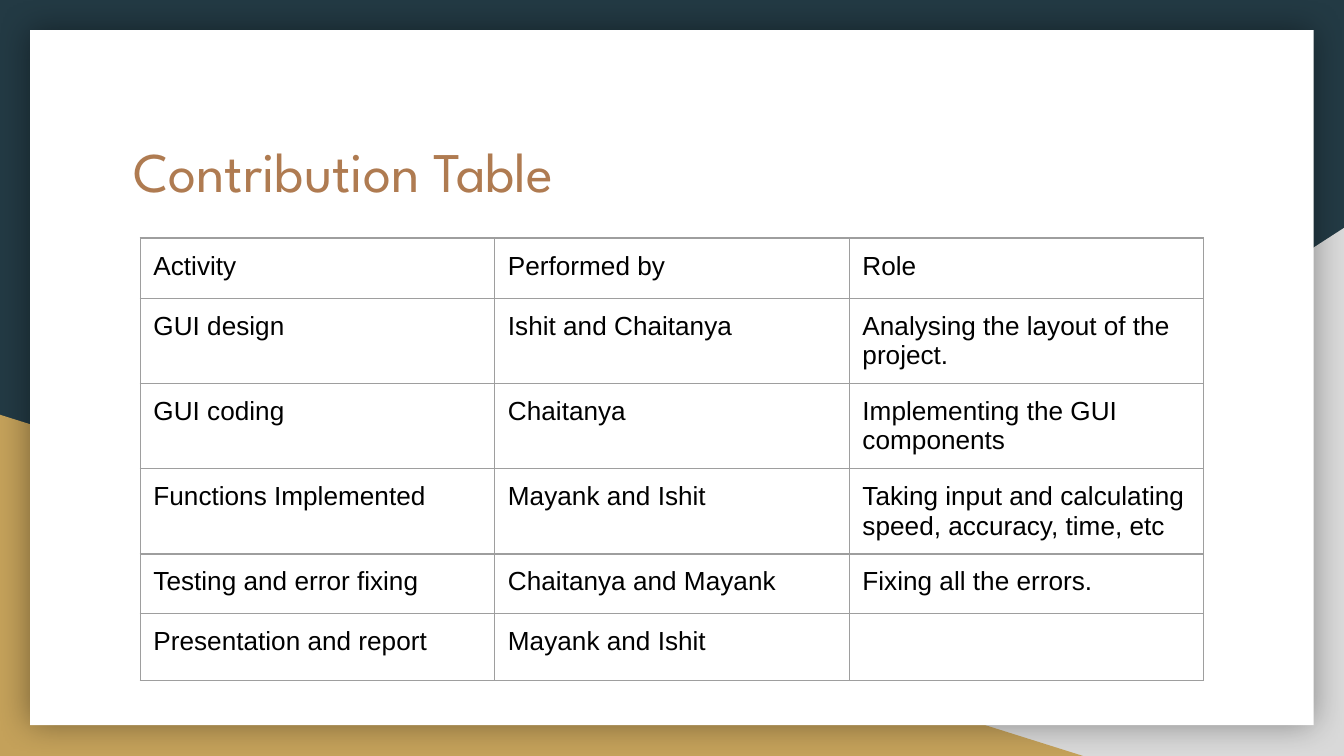
from dataclasses import dataclass

from lxml.etree import SubElement
from pptx import Presentation
from pptx.dml.color import RGBColor as RGB
from pptx.enum.shapes import MSO_SHAPE as Shape
from pptx.enum.text import MSO_ANCHOR as Anchor, PP_ALIGN as Align
from pptx.oxml import parse_xml
from pptx.oxml.ns import nsdecls, qn
from pptx.util import Cm, Pt


@dataclass(frozen=True)
class Theme:
    backdrop: str = "233A44"
    corner: str = "D9D9D9"
    gold: str = "C4A15A"
    card: str = "FFFFFF"
    heading: str = "AF7B51"
    body: str = "000000"
    grid: str = "9E9E9E"
    heading_font: str = "League Spartan"
    body_font: str = "Arial"
    heading_size: int = 30
    body_size: int = 14
    grid_width: float = 0.75
    inset: float = 0.25


CONTRIBUTIONS = [
    ("Activity", "Performed by", "Role"),
    ("GUI design", "Ishit and Chaitanya", "Analysing the layout of the project."),
    ("GUI coding", "Chaitanya", "Implementing the GUI components"),
    ("Functions Implemented", "Mayank and Ishit",
     "Taking input and calculating speed, accuracy, time, etc"),
    ("Testing and error fixing", "Chaitanya and Mayank", "Fixing all the errors."),
    ("Presentation and report", "Mayank and Ishit", ""),
]
ROW_HEIGHTS = [1.14] * 4 + [1.12] * 2
COLUMN_WIDTH = 6.7


class SlideBuilder:
    def __init__(self, slide, theme):
        self.slide = slide
        self.theme = theme

    def background(self):
        fill = self.slide.background.fill
        fill.solid()
        fill.fore_color.rgb = RGB.from_string(self.theme.backdrop)

    def panel(self, kind, box, color, flipped=False):
        panel = self.slide.shapes.add_shape(kind, *map(Cm, box))
        panel.shadow.inherit = False
        panel.fill.solid()
        panel.fill.fore_color.rgb = RGB.from_string(color)
        panel.line.fill.background()
        if flipped:
            panel.element.spPr.find(qn("a:xfrm")).set("flipH", "1")
        return panel

    def glow(self, panel, blur, opacity):
        effects = panel.element.spPr.find(qn("a:effectLst"))
        effects.append(parse_xml(
            f'<a:outerShdw {nsdecls("a")} blurRad="{Pt(blur)}" dist="0" algn="ctr" '
            f'rotWithShape="0"><a:srgbClr val="000000"><a:alpha val="{opacity * 1000}"/>'
            '</a:srgbClr></a:outerShdw>'))

    def font(self, paragraph, name, size, color):
        paragraph.font.name = name
        paragraph.font.size = Pt(size)
        paragraph.font.color.rgb = RGB.from_string(color)

    def inset(self, holder):
        for side in ("left", "right", "top", "bottom"):
            setattr(holder, f"margin_{side}", Cm(self.theme.inset))

    def title(self, text, box):
        title = self.slide.shapes.title
        title.left, title.top, title.width, title.height = map(Cm, box)
        frame = title.text_frame
        frame.text = text
        frame.vertical_anchor = Anchor.TOP
        self.inset(frame)
        heading = frame.paragraphs[0]
        heading.alignment = Align.LEFT
        theme = self.theme
        self.font(heading, theme.heading_font, theme.heading_size, theme.heading)
        title.element.getparent().append(title.element)

    def borders(self, cell):
        properties = cell._tc.get_or_add_tcPr()
        for position, side in enumerate(("lnL", "lnR", "lnT", "lnB")):
            line = parse_xml(f'<a:{side} {nsdecls("a")} w="{Pt(self.theme.grid_width)}"/>')
            fill = SubElement(line, qn("a:solidFill"))
            SubElement(fill, qn("a:srgbClr"), val=self.theme.grid)
            properties.insert(position, line)

    def table(self, rows, left, top, column_width, row_heights):
        columns = len(rows[0])
        table = self.slide.shapes.add_table(
            len(rows), columns, Cm(left), Cm(top),
            Cm(column_width * columns), Cm(sum(row_heights))).table
        table.first_row = table.horz_banding = False
        for column in table.columns:
            column.width = Cm(column_width)
        for row, height, texts in zip(table.rows, row_heights, rows):
            row.height = Cm(height)
            for cell, text in zip(row.cells, texts):
                self.cell(cell, text)

    def cell(self, cell, text):
        cell.fill.background()
        self.inset(cell)
        self.borders(cell)
        if text:
            cell.text = text
            theme = self.theme
            self.font(cell.text_frame.paragraphs[0],
                      theme.body_font, theme.body_size, theme.body)


def main():
    theme = Theme()
    deck = Presentation()
    deck.slide_width, deck.slide_height = Cm(25.4), Cm(14.29)
    builder = SlideBuilder(deck.slides.add_slide(deck.slide_layouts[5]), theme)
    builder.background()
    builder.panel(Shape.RIGHT_TRIANGLE, (9.96, 4.31, 15.44, 9.98), theme.corner, flipped=True)
    builder.panel(Shape.RIGHT_TRIANGLE, (0, 7.84, 20.47, 6.45), theme.gold)
    card = builder.panel(Shape.RECTANGLE, (0.57, 0.57, 24.26, 13.14), theme.card)
    builder.glow(card, blur=18, opacity=40)
    builder.title("Contribution Table", (2.27, 2.34, 20.86, 2.64))
    builder.table(CONTRIBUTIONS, 2.65, 4.5, COLUMN_WIDTH, ROW_HEIGHTS)
    deck.save("out.pptx")


if __name__ == "__main__":
    main()
